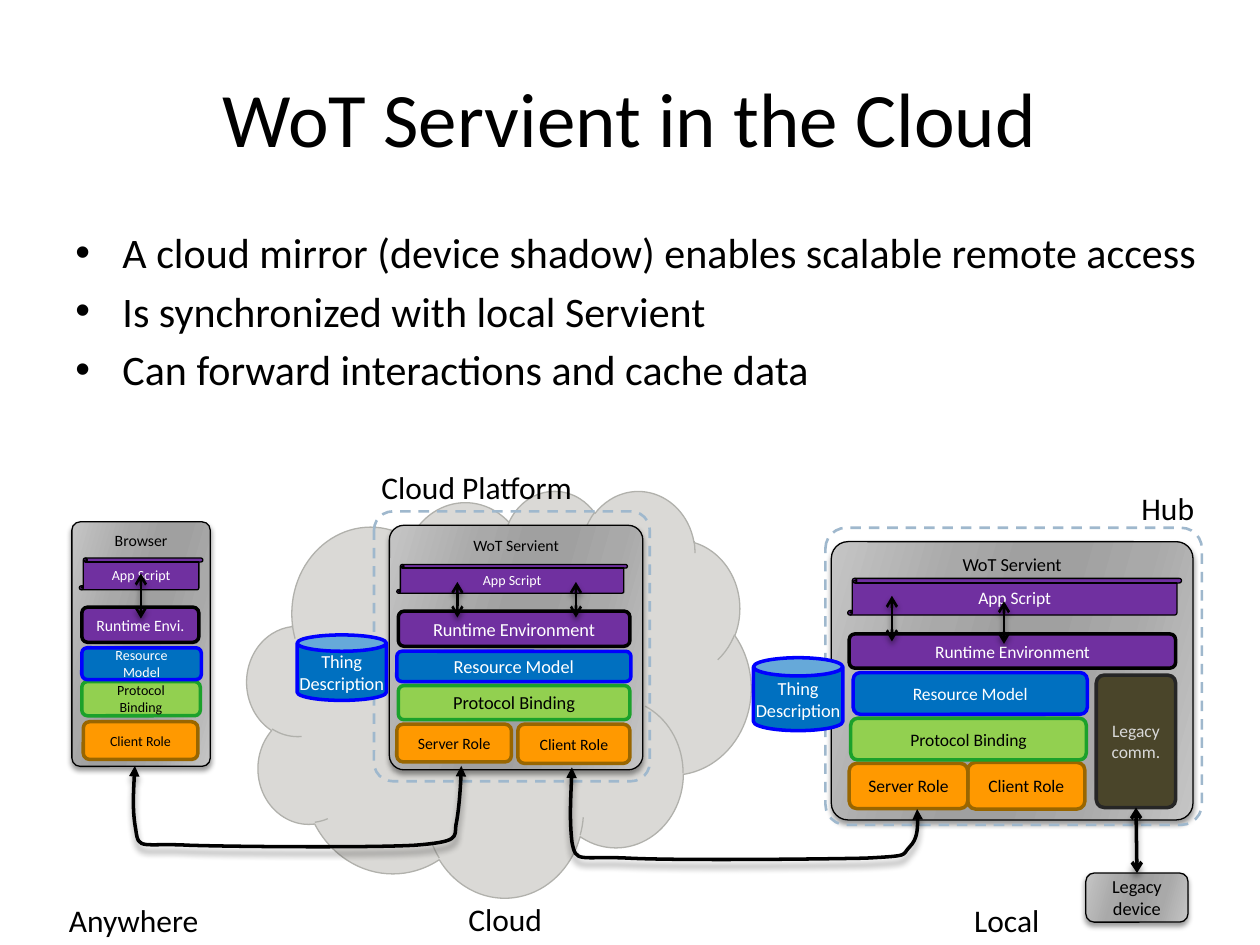
from dataclasses import dataclass

from lxml import etree
from pptx import Presentation
from pptx.dml.color import RGBColor
from pptx.enum.dml import MSO_LINE
from pptx.enum.shapes import MSO_CONNECTOR, MSO_SHAPE
from pptx.enum.text import MSO_ANCHOR, PP_ALIGN
from pptx.oxml.ns import qn
from pptx.util import Cm, Pt

ROUNDED, SCROLL = MSO_SHAPE.ROUNDED_RECTANGLE, MSO_SHAPE.VERTICAL_SCROLL
CAN, CLOUD = MSO_SHAPE.CAN, MSO_SHAPE.CLOUD
STRAIGHT, DASH = MSO_CONNECTOR.STRAIGHT, MSO_LINE.DASH
LEFT, CENTER = PP_ALIGN.LEFT, PP_ALIGN.CENTER
TOP, MIDDLE = MSO_ANCHOR.TOP, MSO_ANCHOR.MIDDLE


@dataclass(frozen=True)
class Theme:
    font: str = "Calibri"
    black: str = "000000"
    white: str = "FFFFFF"
    cloud: tuple = ("DAD9D6", "B1B1AC")
    frame: str = "9FB8CD"
    metal: tuple = ((0, "C5C5C5"), (30, "A9A9A9"), (45, "A0A0A0"),
                    (55, "A0A0A0"), (73, "A9A9A9"), (100, "C5C5C5"))
    title: float = 44
    body: float = 24
    label: float = 18
    normal: float = 10.5


@dataclass(frozen=True)
class Style:
    fill: str
    line: str
    color: str
    width: float = 2
    shape: int = ROUNDED
    inset: float = 0.25
    wrap: bool = True


T = Theme()
ROLE = Style("FF9900", "996600", T.black, inset=0.1)
PROTOCOL = Style("92D050", "1BA12B", T.black)
RESOURCE = Style("0070C0", "0000FF", T.white)
SCRIPT = Style("7030A0", T.black, T.white, 0.75, SCROLL, wrap=False)
RUNTIME = Style("7030A0", T.black, T.white, inset=0.1)
LEGACY = Style("4A452A", "262626", "D9D9D9")
THING = Style("0070C0", "0000FF", T.white, shape=CAN, wrap=False)


def rgb(value):
    return RGBColor.from_string(value)


def sub(parent, tag, **attrs):
    return etree.SubElement(parent, qn(tag), {k: str(v) for k, v in attrs.items()})


def add_shadow(effects, blur=3, dist=2):
    shadow = sub(effects, "a:outerShdw", blurRad=Pt(blur), dist=Pt(dist),
                 dir=90 * 60000, rotWithShape=0)
    sub(sub(shadow, "a:srgbClr", val=T.black), "a:alpha", val=40000)


def write(tf, text, size, color=T.black, align=CENTER):
    tf.text = text
    for p in tf.paragraphs:
        p.alignment = align
        for r in p.runs:
            r.font.name, r.font.size = T.font, Pt(size)
            r.font.color.rgb = rgb(color)


def add_shape(slide, kind, box, line, width, fill=None):
    sp = slide.shapes.add_shape(kind, *map(Cm, box))
    sp.shadow.inherit = False
    if fill:
        sp.fill.solid()
        sp.fill.fore_color.rgb = rgb(fill)
    else:
        sp.fill.background()
    sp.line.color.rgb, sp.line.width = rgb(line), Pt(width)
    return sp


def add_block(slide, style, text, box, size):
    sp = add_shape(slide, style.shape, box, style.line, style.width, style.fill)
    tf = sp.text_frame
    tf.word_wrap = style.wrap
    tf.margin_left = tf.margin_right = Cm(style.inset)
    write(tf, text, size, style.color)
    return sp


def add_metal_box(slide, text, box, size, corner=0.06, anchor=TOP):
    sp = add_shape(slide, ROUNDED, box, T.black, 0.75)
    sp.adjustments[0] = corner
    sp.fill.gradient()
    sp.fill.gradient_angle = 344
    stops = sp._element.spPr.find(".//" + qn("a:gsLst"))
    for stop in list(stops):
        stops.remove(stop)
    for pos, color in T.metal:
        sub(sub(stops, "a:gs", pos=pos * 1000), "a:srgbClr", val=color)
    add_shadow(sp._element.spPr.find(qn("a:effectLst")))
    sp.text_frame.word_wrap = False
    sp.text_frame.vertical_anchor = anchor
    write(sp.text_frame, text, size)
    return sp


def add_frame(slide, box):
    sp = add_shape(slide, ROUNDED, box, T.frame, 1.5)
    sp.adjustments[0] = 0.07
    sp.line.dash_style = DASH


def add_ends(sp, kind):
    ln = sp._element.spPr.find(qn("a:ln"))
    for end in ("a:headEnd", "a:tailEnd"):
        sub(ln, end, type=kind)


def add_arrow(slide, start, end, width=1.5, blur=3, dist=2):
    cxn = slide.shapes.add_connector(STRAIGHT, *map(Cm, start + end))
    cxn.line.color.rgb, cxn.line.width = rgb(T.black), Pt(width)
    add_ends(cxn, "arrow")
    add_shadow(sub(cxn._element.spPr, "a:effectLst"), blur, dist)
    return cxn


def add_curve(slide, points):
    """Each three points after the first are one cubic segment."""
    pts = [(Cm(x), Cm(y)) for x, y in points]
    builder = slide.shapes.build_freeform(*pts[0])
    builder.add_line_segments(pts[1:], close=False)
    sp = builder.convert_to_shape()
    lines = list(sp._element.iter(qn("a:lnTo")))
    for i in range(0, len(lines), 3):
        curve = etree.Element(qn("a:cubicBezTo"))
        lines[i].addprevious(curve)
        for line in lines[i:i + 3]:
            curve.append(line[0])
            line.getparent().remove(line)
    sp.fill.background()
    sp.line.color.rgb, sp.line.width = rgb(T.black), Pt(2)
    add_ends(sp, "triangle")
    sp.shadow.inherit = False
    add_shadow(sp._element.spPr.find(qn("a:effectLst")), 4, 3.4)


def add_label(slide, text, x, y, width, align=CENTER):
    tf = slide.shapes.add_textbox(Cm(x), Cm(y), Cm(width), Cm(1.02)).text_frame
    tf.word_wrap = True
    write(tf, text, T.label, align=align)


def add_title(slide, text):
    sp = slide.shapes.title
    sp.left, sp.top, sp.width, sp.height = map(Cm, (1.27, 0.76, 22.86, 3.18))
    sp.text_frame.vertical_anchor = MIDDLE
    write(sp.text_frame, text, T.title)


def add_bullets(slide, items):
    tf = slide.shapes.add_textbox(*map(Cm, (1.27, 4.45, 24.13, 12.57))).text_frame
    tf.word_wrap = True
    write(tf, "\n".join(items), T.body, align=LEFT)
    for i, p in enumerate(tf.paragraphs):
        pPr = p._p.get_or_add_pPr()
        pPr.set("marL", str(Cm(0.95)))
        pPr.set("indent", str(Cm(-0.95)))
        sub(pPr, "a:buFont", typeface="Arial")
        sub(pPr, "a:buChar", char="•")
        if i:
            p.space_before = Pt(4.5)


def add_browser(slide):
    add_metal_box(slide, "Browser", (1.45, 10.52, 2.79, 4.93), 9)
    for block in (
            (ROLE, "Client Role", (1.68, 14.55, 2.31, 0.76), 8),
            (PROTOCOL, "Protocol Binding", (1.65, 13.74, 2.39, 0.69), 8),
            (RESOURCE, "Resource Model", (1.65, 13.06, 2.41, 0.64), 8),
            (SCRIPT, "App Script", (1.6, 11.25, 2.49, 0.64), 8),
            (RUNTIME, "Runtime Envi.", (1.65, 12.24, 2.36, 0.71), 9)):
        add_block(slide, *block)
    add_arrow(slide, (2.84, 11.56), (2.84, 12.47))


def add_cloud_platform(slide):
    add_shape(slide, CLOUD, (4.98, 9.88, 10.16, 8.2), T.cloud[1], 0.75, T.cloud[0])
    add_metal_box(slide, "WoT Servient", (7.85, 10.59, 5.11, 4.93), 9)
    add_frame(slide, (7.54, 10.31, 5.56, 5.44))
    for block in (
            (ROLE, "Client Role", (10.44, 14.6, 2.26, 0.79), 9),
            (ROLE, "Server Role", (8, 14.6, 2.31, 0.76), 9),
            (PROTOCOL, "Protocol Binding", (8.03, 13.82, 4.67, 0.69), T.normal),
            (RESOURCE, "Resource Model", (8, 13.13, 4.72, 0.61), T.normal),
            (SCRIPT, "App Script", (8, 11.38, 4.65, 0.58), 8),
            (RUNTIME, "Runtime Environment", (8.03, 12.32, 4.67, 0.71), T.normal),
            (THING, "Thing\nDescription", (5.99, 12.8, 1.8, 1.32), T.normal)):
        add_block(slide, *block)
    for x in (9.22, 11.61):
        add_arrow(slide, (x, 11.73), (x, 12.45))


def add_hub(slide):
    add_metal_box(slide, "WoT Servient", (16.76, 10.92, 7.29, 5.61), T.normal)
    add_frame(slide, (16.64, 10.64, 7.59, 5.99))
    for block in (
            (ROLE, "Client Role", (19.51, 15.37, 2.36, 0.94), 10),
            (ROLE, "Server Role", (17.12, 15.39, 2.39, 0.91), 10),
            (PROTOCOL, "Protocol Binding", (17.15, 14.48, 4.75, 0.84), 10),
            (RESOURCE, "Resource Model", (17.2, 13.56, 4.72, 0.84), 10),
            (SCRIPT, "App Script", (17.09, 11.66, 6.73, 0.74), 10),
            (RUNTIME, "Runtime Environment", (17.12, 12.78, 6.58, 0.69), 10),
            (THING, "Thing\nDescription", (15.19, 13.26, 1.8, 1.47), T.normal)):
        add_block(slide, *block)
    add_arrow(slide, (20.24, 12.12), (20.24, 12.98))
    add_arrow(slide, (17.98, 12.01), (17.98, 12.93))

    # Legacy device and its link
    legacy = add_block(slide, LEGACY, "Legacy comm.", (22.1, 13.61, 1.6, 2.67), 10)
    legacy.adjustments[0] = 0.1
    device = add_metal_box(slide, "Legacy\ndevice", (21.89, 17.6, 2.06, 0.99),
                           T.normal, 0.17, MIDDLE)
    link = add_arrow(slide, (22.9, 16.28), (22.92, 17.6), 2, 4, 3.4)
    link.begin_connect(legacy, 2)
    link.end_connect(device, 0)


def main():
    prs = Presentation()
    prs.slide_width, prs.slide_height = Cm(25.4), Cm(19.05)
    slide = prs.slides.add_slide(prs.slide_layouts[5])
    add_title(slide, "WoT Servient in the Cloud")
    add_bullets(slide, ("A cloud mirror (device shadow) enables scalable remote access",
                        "Is synchronized with local Servient",
                        "Can forward interactions and cache data"))
    # Systems
    add_browser(slide)
    add_cloud_platform(slide)
    add_hub(slide)
    # Links between systems
    add_curve(slide, ((9.3, 15.44), (9.3, 15.67), (9.25, 16.36), (9.19, 16.64),
                      (9.17, 16.89), (9.25, 16.97), (8.36, 17.04), (7.44, 17.09),
                      (4.75, 17.07), (3.81, 17.04), (2.87, 16.99), (2.79, 17.15),
                      (2.74, 16.74), (2.67, 16.36), (2.69, 15.95), (2.72, 15.44)))
    add_curve(slide, ((18.49, 16.31), (18.52, 16.59), (18.49, 16.92), (18.34, 17.07),
                      (18.16, 17.25), (18.39, 17.25), (17.45, 17.3), (16.51, 17.32),
                      (13.67, 17.35), (12.67, 17.3), (11.68, 17.25), (11.61, 17.42),
                      (11.53, 16.97), (11.48, 16.51), (11.51, 16.05), (11.53, 15.47)))
    # Place names
    add_label(slide, "Hub", 22.76, 9.73, 2.82, LEFT)
    add_label(slide, "Cloud Platform", 7.44, 9.32, 4.45, LEFT)
    add_label(slide, "Cloud", 8.99, 18.01, 2.39)
    add_label(slide, "Local", 19.1, 18.03, 2.39)
    add_label(slide, "Anywhere", 0.69, 18.03, 4.01)
    prs.save("out.pptx")


if __name__ == "__main__":
    main()
